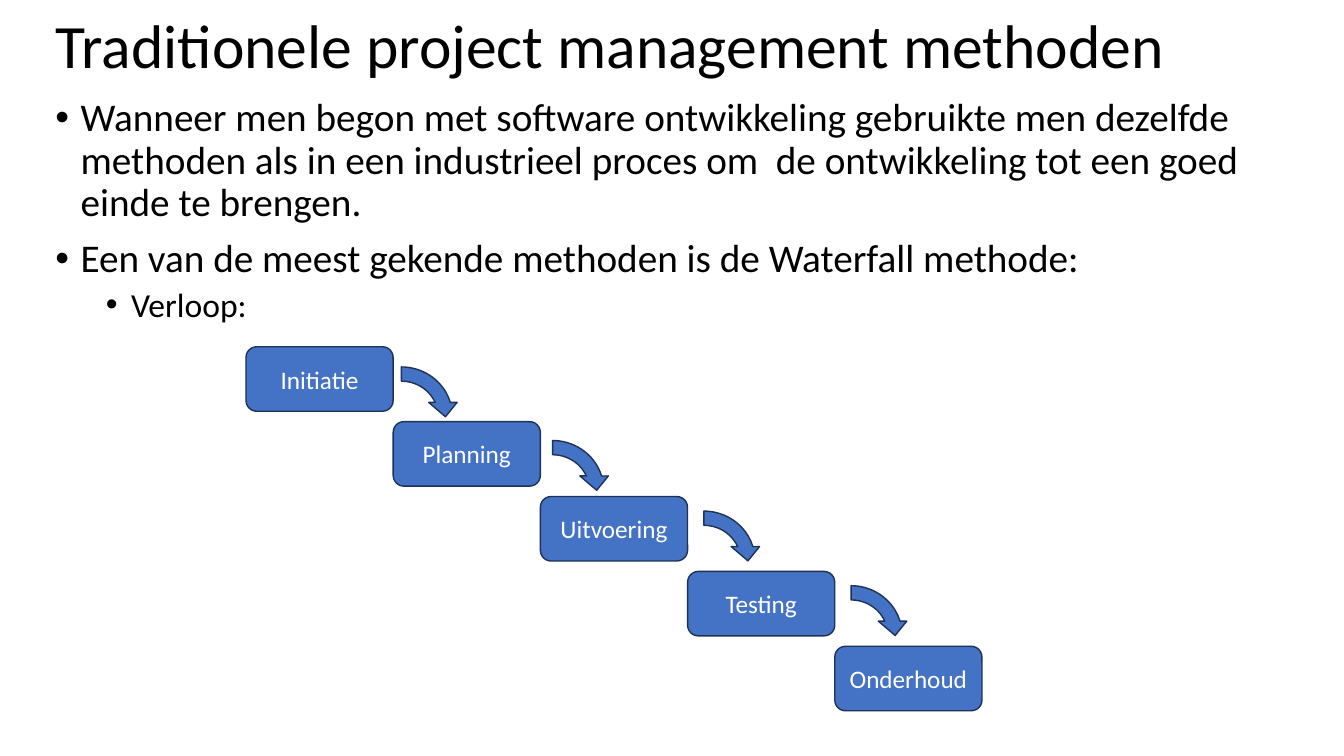
from lxml.etree import SubElement
from pptx import Presentation
from pptx.dml.color import RGBColor
from pptx.enum.shapes import MSO_SHAPE
from pptx.enum.text import MSO_ANCHOR, MSO_AUTO_SIZE, PP_ALIGN
from pptx.oxml.ns import qn
from pptx.util import Inches, Pt

TITLE = "Traditionele project management methoden"
BODY = [
    (0, "Wanneer men begon met software ontwikkeling gebruikte men dezelfde methoden "
        "als in een industrieel proces om  de ontwikkeling tot een goed einde te brengen."),
    (0, "Een van de meest gekende methoden is de Waterfall methode:"),
    (1, "Verloop:"),
]
LEVELS = {0: (28, 10, 0.25), 1: (24, 5, 0.75)}
STEPS = ["Initiatie", "Planning", "Uitvoering", "Testing", "Onderhoud"]
ARROWS = [(3.4, 3.57), (4.9, 4.3), (6.4, 5), (7.86, 5.74)]
ARROW_SIZE = (1.16, 1.13)
ARROW_BEND = (0.125, 11.423, 204.577, 162.158, 0.125)
FIRST_STEP = (2.44, 3.44)
STEP_SIZE = (1.46, 0.64)
STEP_DROP = 0.743
MARGIN, CONTENT_WIDTH = 0.45, 12.43
BLACK, WHITE, BLUE, NAVY = "000000", "FFFFFF", "4472C4", "1E3256"


def color(value):
    return RGBColor.from_string(value)


def place(shape, left, top, width, height):
    shape.left, shape.top = Inches(left), Inches(top)
    shape.width, shape.height = Inches(width), Inches(height)


def style(paragraph, size, text_color, alignment):
    paragraph.alignment = alignment
    paragraph.font.name = "Calibri"
    paragraph.font.size = Pt(size)
    paragraph.font.color.rgb = color(text_color)


def add_bullet(paragraph, indent):
    properties = paragraph._p.get_or_add_pPr()
    properties.set("marL", str(Inches(indent)))
    properties.set("indent", str(Inches(-0.25)))
    SubElement(properties, qn("a:buFont")).set("typeface", "Arial")
    SubElement(properties, qn("a:buChar")).set("char", "•")


def add_block(slide, preset, left, top, size):
    shape = slide.shapes.add_shape(preset, Inches(left), Inches(top), *map(Inches, size))
    shape.shadow.inherit = False
    shape.fill.solid()
    shape.fill.fore_color.rgb = color(BLUE)
    shape.line.color.rgb = color(NAVY)
    shape.line.width = Pt(1)
    return shape


def fill_title(title):
    place(title, MARGIN, 0.05, CONTENT_WIDTH, 0.87)
    frame = title.text_frame
    frame.text = TITLE
    frame.auto_size = MSO_AUTO_SIZE.NONE
    frame.vertical_anchor = MSO_ANCHOR.MIDDLE
    frame.paragraphs[0].line_spacing = 0.9
    style(frame.paragraphs[0], 44, BLACK, PP_ALIGN.LEFT)


def fill_body(body):
    place(body, MARGIN, 0.92, CONTENT_WIDTH, 6.33)
    frame = body.text_frame
    frame.text = "\n".join(text for _, text in BODY)
    frame.auto_size = MSO_AUTO_SIZE.NONE
    for index, (paragraph, (level, _)) in enumerate(zip(frame.paragraphs, BODY)):
        size, space, indent = LEVELS[level]
        paragraph.level = level
        add_bullet(paragraph, indent)
        paragraph.line_spacing = 0.9
        paragraph.space_before = Pt(space if index else 0)
        style(paragraph, size, BLACK, PP_ALIGN.LEFT)


def add_waterfall(slide):
    left, top = FIRST_STEP
    for index, name in enumerate(STEPS):
        step = add_block(slide, MSO_SHAPE.ROUNDED_RECTANGLE,
                         left + index * STEP_SIZE[0], top + index * STEP_DROP, STEP_SIZE)
        frame = step.text_frame
        frame.text = name
        frame.vertical_anchor = MSO_ANCHOR.MIDDLE
        style(frame.paragraphs[0], 18, WHITE, PP_ALIGN.CENTER)
    for arrow_left, arrow_top in ARROWS:
        arrow = add_block(slide, MSO_SHAPE.CIRCULAR_ARROW, arrow_left, arrow_top, ARROW_SIZE)
        for index, bend in enumerate(ARROW_BEND):
            arrow.adjustments[index] = bend


def main():
    presentation = Presentation()
    presentation.slide_width, presentation.slide_height = Inches(13.33), Inches(7.5)
    slide = presentation.slides.add_slide(presentation.slide_layouts[1])
    fill_title(slide.shapes.title)
    fill_body(slide.placeholders[1])
    add_waterfall(slide)
    presentation.save("out.pptx")


if __name__ == "__main__":
    main()
